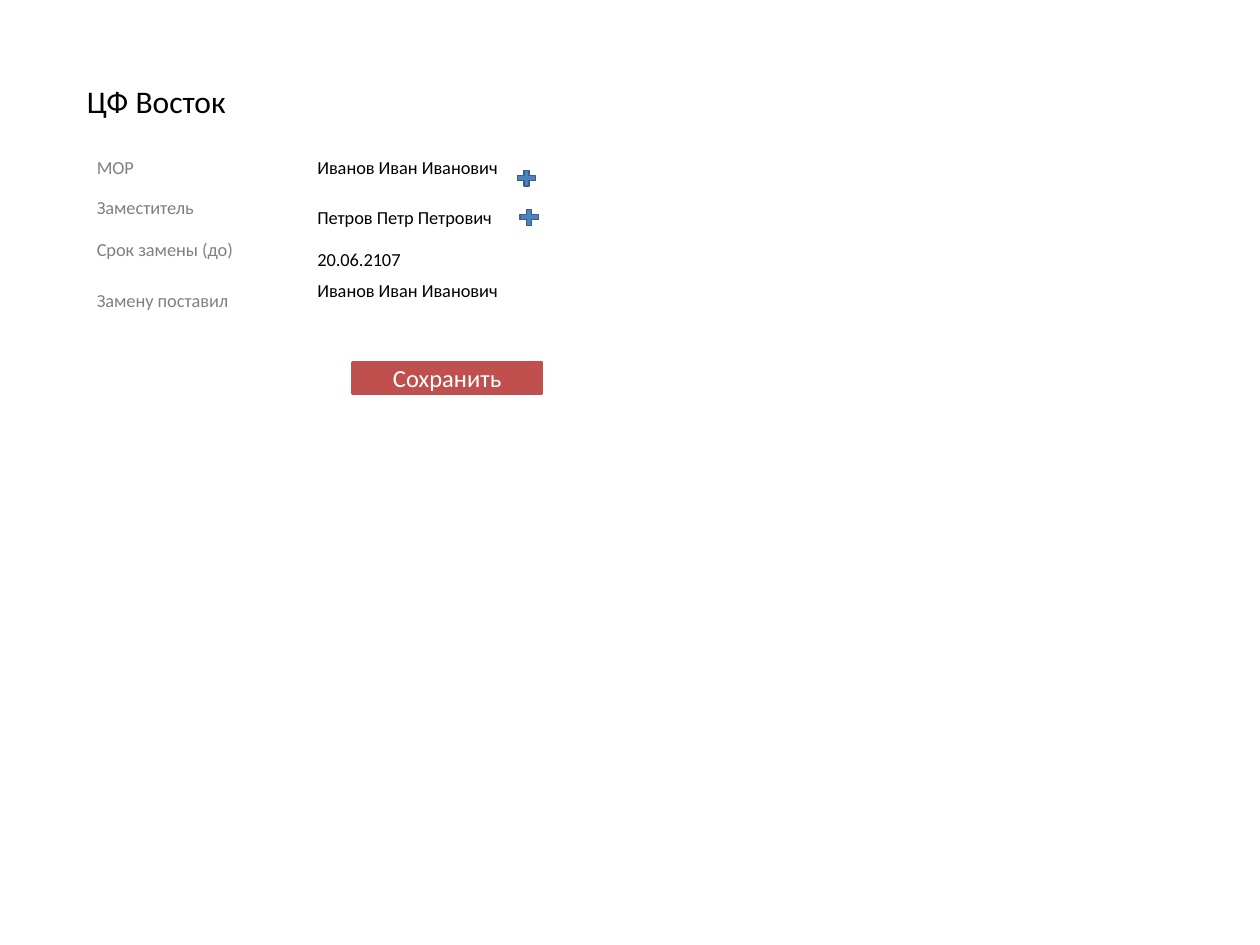
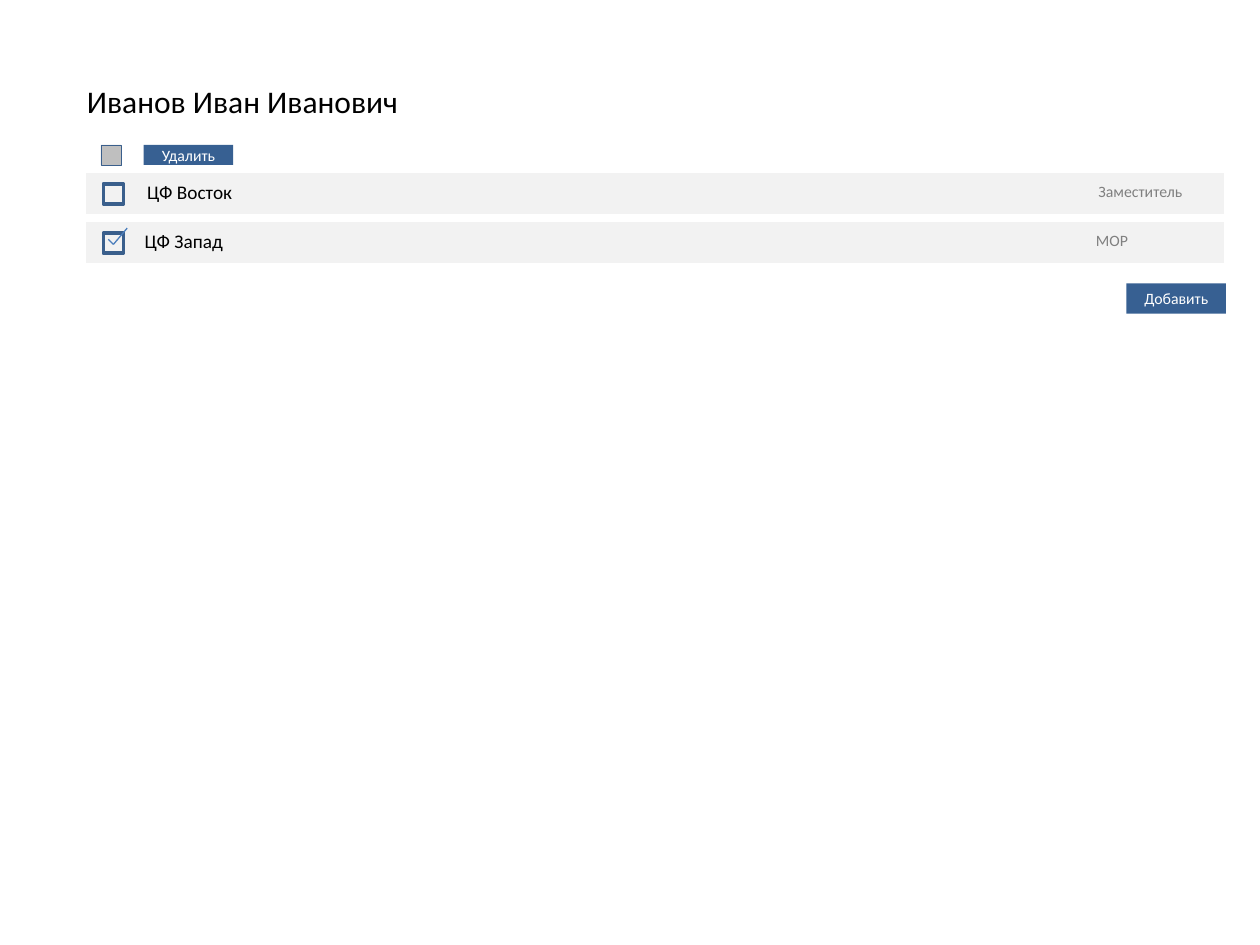
from pptx import Presentation
from pptx.dml.color import RGBColor
from pptx.enum.shapes import MSO_CONNECTOR, MSO_SHAPE
from pptx.enum.text import MSO_ANCHOR, PP_ALIGN
from pptx.oxml.ns import qn
from pptx.util import Inches, Pt
from lxml import etree

FONT = "Calibri"
BLACK = RGBColor(0x00, 0x00, 0x00)
WHITE = RGBColor(0xFF, 0xFF, 0xFF)
GREY = RGBColor(0x80, 0x80, 0x80)
ROW_FILL = RGBColor(0xF2, 0xF2, 0xF2)
BOX_FILL = RGBColor(0xBF, 0xBF, 0xBF)
BLUE = RGBColor(0x4F, 0x81, 0xBD)
OUTLINE = RGBColor(0x3A, 0x5F, 0x8C)
TICK = RGBColor(0x4B, 0x7E, 0xBC)
NAVY = RGBColor(0x37, 0x60, 0x92)
RED = RGBColor(0xC0, 0x50, 0x4D)


def write(tf, text, size=10.5, color=BLACK, align=PP_ALIGN.LEFT,
          anchor=MSO_ANCHOR.MIDDLE, margin=0):
    tf.word_wrap = True
    tf.vertical_anchor = anchor
    tf.margin_top = tf.margin_bottom = Inches(margin)
    p = tf.paragraphs[0]
    p.alignment = align
    r = p.add_run()
    r.text = text
    r.font.name = FONT
    r.font.size = Pt(size)
    r.font.color.rgb = color


class Screen:
    """Form style together with the slide being drawn."""

    def __init__(self, prs):
        self.prs = prs
        self.s = None

    def start(self, title, width):
        self.s = self.prs.slides.add_slide(self.prs.slide_layouts[5])
        sp = self.s.shapes.title
        sp.left, sp.top = Inches(0.59), Inches(0.6)
        sp.width, sp.height = Inches(width), Inches(0.4)
        write(sp.text_frame, title, size=18, anchor=MSO_ANCHOR.TOP, margin=0.05)

    def text(self, text, x, y, w, h, **fmt):
        sp = self.s.shapes.add_textbox(Inches(x), Inches(y), Inches(w), Inches(h))
        write(sp.text_frame, text, **fmt)

    def shape(self, x, y, w, h, fill=None, line=None, line_width=2,
              kind=MSO_SHAPE.RECTANGLE):
        sp = self.s.shapes.add_shape(kind, Inches(x), Inches(y), Inches(w), Inches(h))
        sp.shadow.inherit = False
        if fill is None:
            sp.fill.background()
        else:
            sp.fill.solid()
            sp.fill.fore_color.rgb = fill
        if line is None:
            sp.line.fill.background()
        else:
            sp.line.color.rgb = line
            sp.line.width = Pt(line_width)
        return sp

    def button(self, text, x, y, w, h, fill=NAVY, line=None, size=9):
        sp = self.shape(x, y, w, h, fill, line)
        write(sp.text_frame, text, size=size, color=WHITE, align=PP_ALIGN.CENTER)

    def plus(self, x, y):
        self.shape(x, y, 0.2, 0.17, BLUE, OUTLINE, 0, MSO_SHAPE.MATH_PLUS)

    def line(self, x1, y1, x2, y2):
        c = self.s.shapes.add_connector(MSO_CONNECTOR.STRAIGHT, Inches(x1),
                                        Inches(y1), Inches(x2), Inches(y2))
        c.line.color.rgb = TICK
        c.line.width = Pt(0.75)
        etree.SubElement(c._element.spPr, qn("a:effectLst"))

    def row(self, y, name, role, name_x, role_x):
        self.shape(0.67, y, 9.06, 0.35, ROW_FILL, WHITE)
        self.text(name, name_x, y + 0.08, 1.1, 0.16, size=11)
        self.text(role, role_x, y + 0.08, 0.94, 0.16, size=9, color=GREY)
        self.shape(0.82, y + 0.1, 0.16, 0.16, line=OUTLINE)


def department_form(screen):
    screen.start("ЦФ Восток", 2.2)

    # Fields: label with its top, value with its top
    fields = [
        ("МОР", 1.22, "Иванов Иван Иванович", 1.22),
        ("Заместитель", 1.53, "Петров Петр Петрович", 1.61),
        ("Срок замены (до)", 1.87, "20.06.2107", 1.95),
        ("Замену поставил", 2.27, "Иванов Иван Иванович", 2.19),
    ]
    for label, label_y, value, value_y in fields:
        screen.text(label, 0.67, label_y, 1.34, 0.22, color=GREY)
        screen.text(value, 2.42, value_y, 2.35, 0.22)

    # Actions
    screen.plus(4.08, 1.33)
    screen.plus(4.1, 1.64)
    screen.button("Сохранить", 2.8, 2.88, 1.5, 0.24, RED, RED, size=14)


def person_form(screen):
    screen.start("Иванов Иван Иванович", 4.49)

    # Departments
    screen.row(1.36, "ЦФ Восток", "Заместитель", 1.07, 8.62)
    screen.row(1.75, "ЦФ Запад", "МОР", 1.05, 8.6)

    # Tick in the second row
    screen.line(0.86, 1.9, 0.9, 1.94)
    screen.line(0.9, 1.94, 1.01, 1.81)

    # Select all, delete, add
    screen.shape(0.8, 1.15, 0.16, 0.16, BOX_FILL, OUTLINE, 0.25)
    screen.button("Удалить", 1.14, 1.15, 0.71, 0.16)
    screen.button("Добавить", 8.94, 2.25, 0.79, 0.24)


def main():
    prs = Presentation()
    prs.slide_width, prs.slide_height = Inches(10), Inches(7.5)
    screen = Screen(prs)
    department_form(screen)
    person_form(screen)
    prs.save("out.pptx")


if __name__ == "__main__":
    main()
